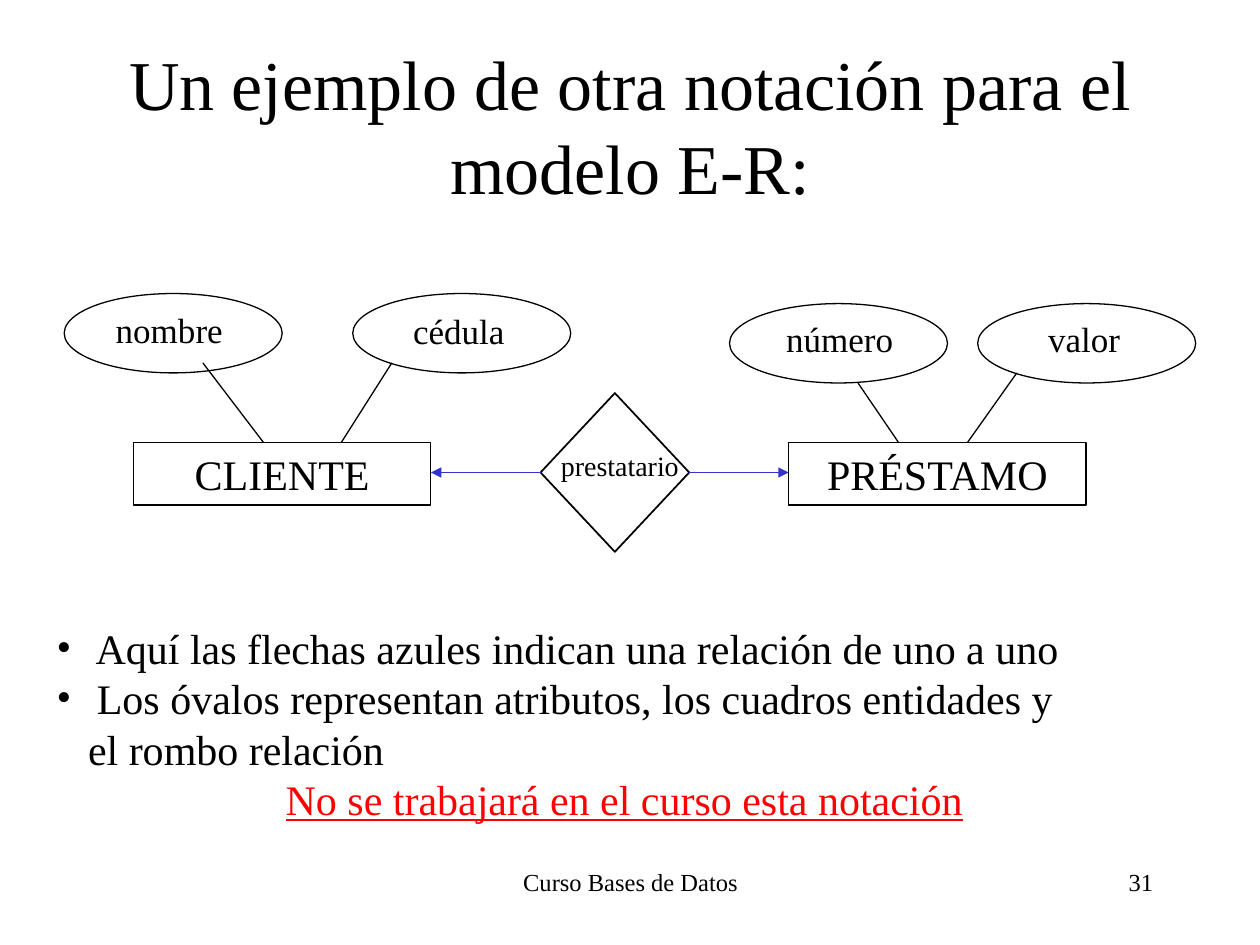
import pptx
import pptx.util
import pptx.dml.color
import pptx.enum.shapes
import pptx.enum.text
import pptx.oxml.ns
import lxml.etree

Inches = pptx.util.Inches
Pt = pptx.util.Pt
Kind = pptx.enum.shapes.MSO_SHAPE
Align = pptx.enum.text.PP_ALIGN
Anchor = pptx.enum.text.MSO_ANCHOR
qn = pptx.oxml.ns.qn

FONT = "Times New Roman"
HEX = {"ink": "000000", "arrow": "3333CC", "alert": "FF0000"}
TITLE = "Un ejemplo de otra notación para el modelo E-R:"
OVALS = [(0.51, 2.33), (2.8, 2.33), (5.79, 2.41), (7.76, 2.41)]
LABELS = [
    ("nombre", 0.82, 2.4, 1.1, 0.44, 20, Align.LEFT),
    ("cédula", 3.18, 2.41, 1.1, 0.44, 20, Align.LEFT),
    ("número", 6.14, 2.47, 1.1, 0.44, 20, Align.LEFT),
    ("valor", 8.22, 2.47, 1.1, 0.44, 20, Align.LEFT),
    ("prestatario", 4.21, 3.51, 1.42, 0.37, 16, Align.CENTER),
    ("Curso Bases de Datos", 3.42, 6.83, 3.17, 0.5, 14, Align.CENTER),
    ("31", 7.17, 6.83, 2.08, 0.5, 14, Align.RIGHT),
]
BOXES = [("CLIENTE", 1.06), ("PRÉSTAMO", 6.26)]
LINKS = [
    (1.61, 2.88, 2.09, 3.51),
    (3.11, 2.88, 2.71, 3.51),
    (6.81, 3.04, 7.13, 3.51),
    (8.07, 2.96, 7.68, 3.51),
]
ARROWS = [(4.29, 3.75, 3.42, 3.75), (5.47, 3.75, 6.26, 3.75)]
NOTES = [
    ("Aquí las flechas azules indican una relación de uno a uno", 0.31, True),
    ("Los óvalos representan atributos, los cuadros entidades y", 0.32, True),
    ("el rombo relación", 0.25, False),
]
ALERT = "No se trabajará en el curso esta notación"


def paint(name):
    return pptx.dml.color.RGBColor.from_string(HEX[name])


def write(para, text, size, align, hue="ink"):
    para.text = text
    para.alignment = align
    para.font.name = FONT
    para.font.size = Pt(size)
    para.font.color.rgb = paint(hue)


def outline(kind, x, y, w, h, width=0.74):
    shape = slide.shapes.add_shape(kind, Inches(x), Inches(y), Inches(w), Inches(h))
    shape.shadow.inherit = False
    shape.fill.background()
    shape.line.color.rgb = paint("ink")
    shape.line.width = Pt(width)
    return shape


def frame(x, y, w, h):
    box = slide.shapes.add_textbox(Inches(x), Inches(y), Inches(w), Inches(h))
    box.text_frame.word_wrap = True
    return box.text_frame


def link(x1, y1, x2, y2, hue="ink"):
    line = slide.shapes.add_connector(
        pptx.enum.shapes.MSO_CONNECTOR.STRAIGHT,
        Inches(x1), Inches(y1), Inches(x2), Inches(y2))
    line.line.color.rgb = paint(hue)
    line.line.width = Pt(0.74)
    lxml.etree.SubElement(line._element.spPr, qn("a:effectLst"))
    return line


deck = pptx.Presentation()
deck.slide_width = Inches(10)
deck.slide_height = Inches(7.5)
slide = deck.slides.add_slide(deck.slide_layouts[5])

title = slide.shapes.title
title.left, title.top = Inches(0.75), Inches(0.36)
title.width, title.height = Inches(8.5), Inches(1.25)
title.text_frame.vertical_anchor = Anchor.MIDDLE
write(title.text_frame.paragraphs[0], TITLE, 40, Align.CENTER)

for name, x in BOXES:
    body = outline(Kind.RECTANGLE, x, 3.51, 2.36, 0.5).text_frame
    body.vertical_anchor = Anchor.TOP
    write(body.paragraphs[0], name, 24, Align.CENTER)

outline(Kind.FLOWCHART_DECISION, 4.29, 3.12, 1.18, 1.26, 0.99)
for x, y in OVALS:
    outline(Kind.OVAL, x, y, 1.73, 0.63)

for text, x, y, w, h, size, align in LABELS:
    write(frame(x, y, w, h).paragraphs[0], text, size, align)

for ends in LINKS:
    link(*ends)
for ends in ARROWS:
    line = link(*ends, "arrow")
    lxml.etree.SubElement(line.line._get_or_add_ln(), qn("a:tailEnd"), type="triangle")

body = frame(0.35, 4.89, 9.21, 1.7)
for text, left, mark in NOTES:
    para = body.paragraphs[0] if text == NOTES[0][0] else body.add_paragraph()
    write(para, text, 24, Align.LEFT)
    props = para._p.get_or_add_pPr()
    props.set("marL", str(Inches(left)))
    if mark:
        props.set("indent", str(-Inches(left)))
        base = props.find(qn("a:defRPr"))
        base.addprevious(lxml.etree.Element(qn("a:buFont"), typeface=FONT))
        base.addprevious(lxml.etree.Element(qn("a:buChar"), char="•"))
para = body.add_paragraph()
write(para, ALERT, 24, Align.CENTER, "alert")
para.font.underline = True

deck.save("out.pptx")
